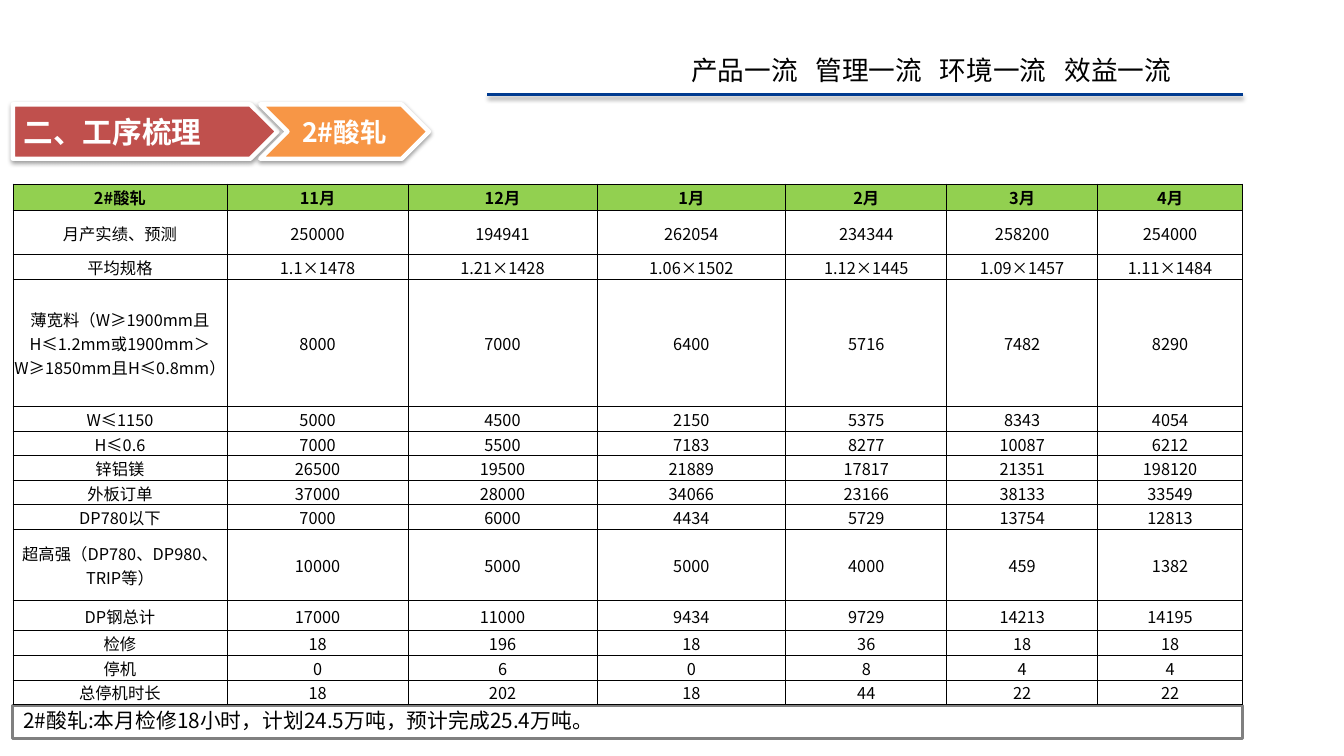
from lxml.etree import SubElement
from pptx import Presentation
from pptx.dml.color import RGBColor
from pptx.enum.shapes import MSO_CONNECTOR, MSO_SHAPE
from pptx.enum.text import MSO_ANCHOR, PP_ALIGN
from pptx.oxml import parse_xml
from pptx.oxml.ns import nsdecls, qn
from pptx.util import Pt

FONT = "Noto Sans CJK SC"
COLORS = {
    "black": "000000", "white": "FFFFFF", "blue": "003B90", "red": "C0504D",
    "orange": "F79646", "green": "92D050", "gray": "808080",
}

MOTTO = ["产品一流", "管理一流", "环境一流", "效益一流"]
TITLE = "二、工序梳理"
LINE_NAME = "2#酸轧"
NOTE = "2#酸轧:本月检修18小时，计划24.5万吨，预计完成25.4万吨。"

HEAD = [LINE_NAME, "11月", "12月", "1月", "2月", "3月", "4月"]
SLIM = 16.6
# row height, label, monthly values
ROWS = [
    (30.2, "月产实绩、预测", [250000, 194941, 262054, 234344, 258200, 254000]),
    (SLIM, "平均规格", ["1.1×1478", "1.21×1428", "1.06×1502",
                    "1.12×1445", "1.09×1457", "1.11×1484"]),
    (86, "薄宽料（W≥1900mm且H≤1.2mm或1900mm＞W≥1850mm且H≤0.8mm）",
     [8000, 7000, 6400, 5716, 7482, 8290]),
    (SLIM, "W≤1150", [5000, 4500, 2150, 5375, 8343, 4054]),
    (SLIM, "H≤0.6", [7000, 5500, 7183, 8277, 10087, 6212]),
    (SLIM, "锌铝镁", [26500, 19500, 21889, 17817, 21351, 198120]),
    (SLIM, "外板订单", [37000, 28000, 34066, 23166, 38133, 33549]),
    (SLIM, "DP780以下", [7000, 6000, 4434, 5729, 13754, 12813]),
    (47.6, "超高强（DP780、DP980、TRIP等）", [10000, 5000, 5000, 4000, 459, 1382]),
    (20.9, "DP钢总计", [17000, 11000, 9434, 9729, 14213, 14195]),
    (SLIM, "检修", [18, 196, 18, 36, 18, 18]),
    (SLIM, "停机", [0, 6, 0, 8, 4, 4]),
    (SLIM, "总停机时长", [18, 202, 18, 44, 22, 22]),
]
HEAD_H = 17.5
WIDTHS = [144.6, 122.2, 127.5, 127.5, 108.7, 101.8, 97.9]
LEFT, TOP = 8.7, 124.3
WIDTH = sum(WIDTHS)
RIGHT = LEFT + WIDTH
HEIGHT = HEAD_H + sum(row[0] for row in ROWS)
CHIP_TOP, CHIP_H = 70.5, 36.7
TAB_STEP = 84


def color(name):
    return RGBColor.from_string(COLORS[name])


def write(para, text, size, ink="black", bold=False):
    run = para.add_run()
    run.text = text
    font = run.font
    font.name, font.size, font.bold = FONT, Pt(size), bold
    font.color.rgb = color(ink)
    SubElement(run._r.get_or_add_rPr(), qn("a:ea"), typeface=FONT)


def add_shadow(shape):
    """Give the shape a soft shadow falling straight down."""
    shape._element.spPr.append(parse_xml(
        f'<a:effectLst {nsdecls("a")}><a:outerShdw blurRad="{Pt(3.1)}" '
        f'dist="{Pt(1.6)}" dir="5400000" rotWithShape="0">'
        f'<a:srgbClr val="{COLORS["black"]}"><a:alpha val="38000"/></a:srgbClr>'
        '</a:outerShdw></a:effectLst>'))


def add_box(slide, kind, box, fill, edge, width):
    shape = slide.shapes.add_shape(kind, *map(Pt, box))
    shape.fill.solid()
    shape.fill.fore_color.rgb = color(fill)
    shape.line.color.rgb = color(edge)
    shape.line.width = Pt(width)
    shape.text_frame.vertical_anchor = MSO_ANCHOR.MIDDLE
    shape.text_frame.paragraphs[0].alignment = PP_ALIGN.LEFT
    return shape


def add_chip(slide, kind, left, width, fill, text, size):
    chip = add_box(slide, kind, (left, CHIP_TOP, width, CHIP_H), fill, "white", 3)
    add_shadow(chip)
    write(chip.text_frame.paragraphs[0], text, size, "white", True)
    return chip


def add_motto(slide):
    frame = slide.shapes.add_textbox(
        Pt(459.4), Pt(33.1), Pt(415.4), Pt(28.8)).text_frame
    frame.word_wrap = True
    para = frame.paragraphs[0]
    tabs = SubElement(para._p.get_or_add_pPr(), qn("a:tabLst"))
    for i in range(1, len(MOTTO)):
        SubElement(tabs, qn("a:tab"), pos=str(Pt(TAB_STEP * i)), algn="l")
    write(para, "\t".join(MOTTO), 18)
    rule = slide.shapes.add_connector(
        MSO_CONNECTOR.STRAIGHT, Pt(329), Pt(64), Pt(RIGHT), Pt(64))
    rule.line.color.rgb = color("blue")
    rule.line.width = Pt(2)
    add_shadow(rule)


def fill_cell(cell, text, head):
    cell.margin_left = cell.margin_right = cell.margin_top = Pt(0.7)
    cell.margin_bottom = 0
    cell.vertical_anchor = MSO_ANCHOR.MIDDLE
    para = cell.text_frame.paragraphs[0]
    para.alignment = PP_ALIGN.CENTER
    write(para, str(text), 11, bold=head)
    props = cell._tc.get_or_add_tcPr()
    for side in ("lnL", "lnR", "lnT", "lnB"):
        props.append(parse_xml(
            f'<a:{side} {nsdecls("a")} w="{Pt(0.5)}"><a:solidFill>'
            f'<a:srgbClr val="{COLORS["black"]}"/></a:solidFill></a:{side}>'))
    if head:
        cell.fill.solid()
        cell.fill.fore_color.rgb = color("green")
    else:
        cell.fill.background()


def add_grid(slide):
    table = slide.shapes.add_table(
        len(ROWS) + 1, len(HEAD), Pt(LEFT), Pt(TOP), Pt(WIDTH), Pt(HEIGHT)).table
    table.first_row = table.horz_banding = False
    for col, width in zip(table.columns, WIDTHS):
        col.width = Pt(width)
    lines = [(HEAD_H, HEAD)] + [(h, [label] + vals) for h, label, vals in ROWS]
    for r, (height, texts) in enumerate(lines):
        table.rows[r].height = Pt(height)
        for c, text in enumerate(texts):
            fill_cell(table.cell(r, c), text, r == 0)


def add_note(slide):
    box = (LEFT, TOP + HEIGHT + 0.5, WIDTH, 22.3)
    note = add_box(slide, MSO_SHAPE.RECTANGLE, box, "white", "gray", 2)
    note.shadow.inherit = False
    para = note.text_frame.paragraphs[0]
    para.line_spacing = Pt(14.8)
    write(para, NOTE, 14)


def main():
    deck = Presentation()
    deck.slide_width, deck.slide_height = Pt(907.2), Pt(510.5)
    slide = deck.slides.add_slide(deck.slide_layouts[6])
    add_motto(slide)
    add_chip(slide, MSO_SHAPE.PENTAGON, LEFT, 178.6, "red", TITLE, 20)
    step = add_chip(slide, MSO_SHAPE.CHEVRON, 175.7, 113.8, "orange", LINE_NAME, 18)
    step.text_frame.word_wrap = False
    step.text_frame.paragraphs[0].alignment = PP_ALIGN.CENTER
    add_note(slide)
    add_grid(slide)
    deck.save("out.pptx")


if __name__ == "__main__":
    main()
